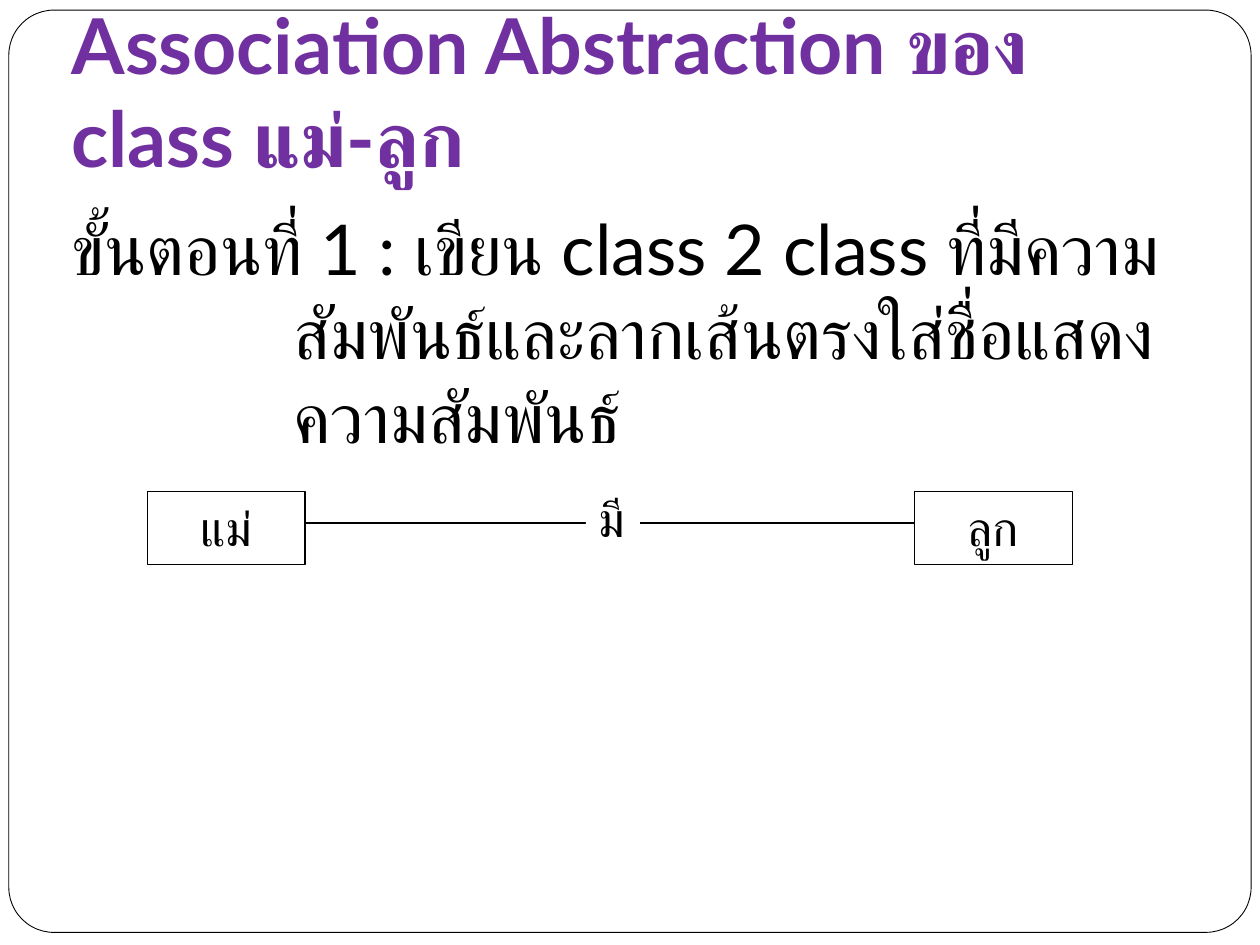
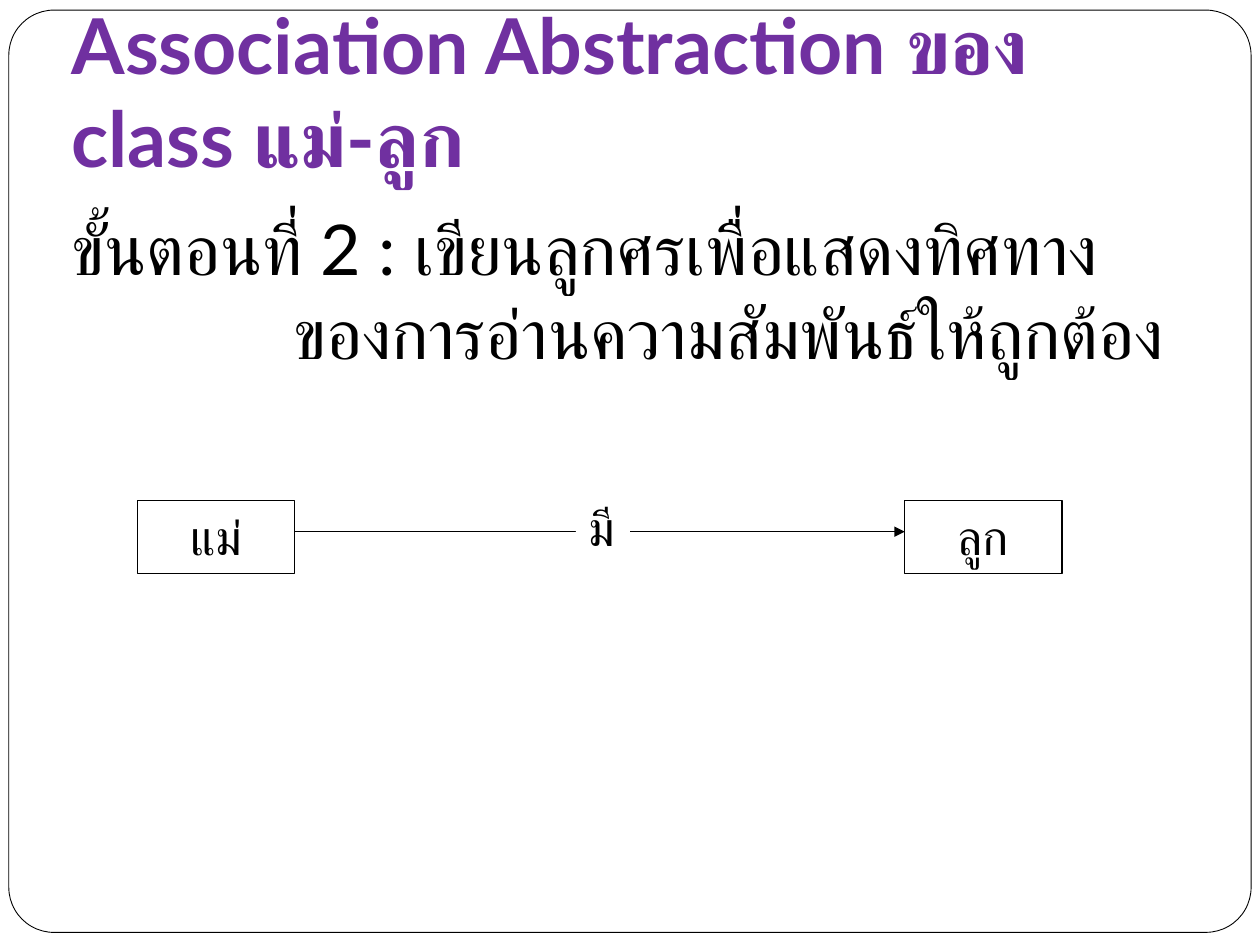
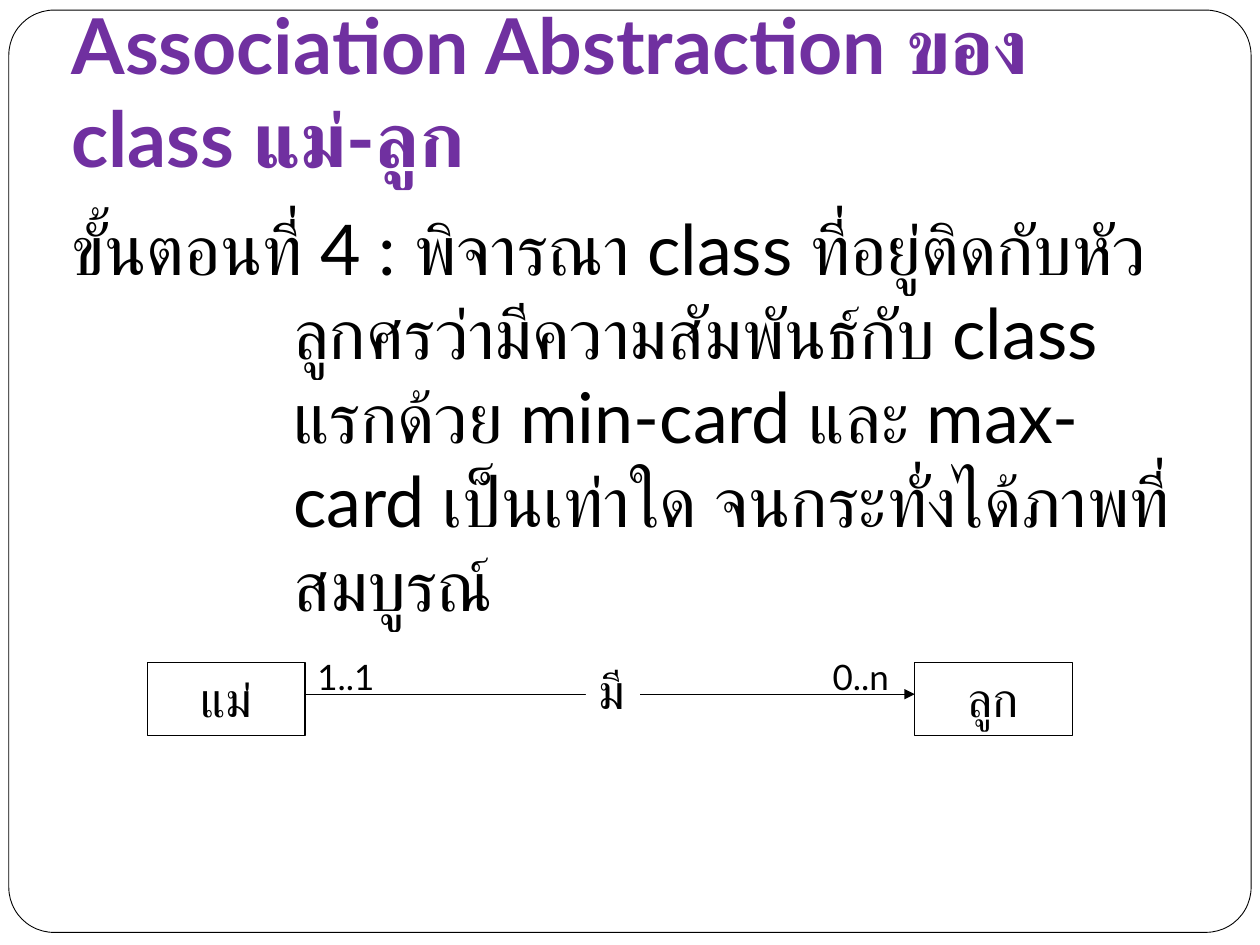
from pptx import Presentation
from pptx.dml.color import RGBColor
from pptx.enum.shapes import MSO_CONNECTOR as Connector, MSO_SHAPE as Shape
from pptx.enum.text import MSO_ANCHOR as Anchor, MSO_AUTO_SIZE as AutoSize, PP_ALIGN as Align
from pptx.oxml.ns import qn
from pptx.util import Inches, Pt
from lxml.etree import SubElement

BLACK = RGBColor(0x00, 0x00, 0x00)
WHITE = RGBColor(0xFF, 0xFF, 0xFF)
PURPLE = RGBColor(0x70, 0x30, 0xA0)
FONT = "Lato"
TITLE = "Association Abstraction ของ class แม่-ลูก"

STEPS = [
    dict(text="ขั้นตอนที่ 1 : เขียน class 2 class ที่มีความสัมพันธ์และลากเส้นตรงใส่ชื่อแสดงความสัมพันธ์",
         left=1.17, top=3.9, arrow=False, cards=()),
    dict(text="ขั้นตอนที่ 2 : เขียนลูกศรเพื่อแสดงทิศทางของการอ่านความสัมพันธ์ให้ถูกต้อง",
         left=1.09, top=3.97, arrow=True, cards=()),
    dict(text="ขั้นตอนที่ 4 : พิจารณา class ที่อยู่ติดกับหัวลูกศรว่ามีความสัมพันธ์กับ class แรกด้วย "
              "min-card และ max-card เป็นเท่าใด จนกระทั่งได้ภาพที่สมบูรณ์",
         left=1.17, top=5.26, arrow=True, cards=("1..1", "0..n")),
]


def write(shape, text, size, color=BLACK, bold=False, align=Align.LEFT,
          anchor=Anchor.TOP, wrap=True, grow=False, bottom=0.05):
    frame = shape.text_frame
    frame.word_wrap = wrap
    frame.vertical_anchor = anchor
    frame.margin_bottom = Inches(bottom)
    frame.auto_size = AutoSize.SHAPE_TO_FIT_TEXT if grow else AutoSize.NONE
    paragraph = frame.paragraphs[0]
    paragraph.alignment = align
    run = paragraph.add_run()
    run.text = text
    run.font.name = FONT
    run.font.size = Pt(size)
    run.font.bold = bold
    run.font.color.rgb = color
    return paragraph


def add_panel(shapes, kind, left, top, width, height, fill=None, line=None):
    panel = shapes.add_shape(kind, Inches(left), Inches(top), Inches(width), Inches(height))
    panel.shadow.inherit = False
    if fill is None:
        panel.fill.background()
    else:
        panel.fill.solid()
        panel.fill.fore_color.rgb = fill
    if line is None:
        panel.line.fill.background()
    else:
        panel.line.color.rgb = BLACK
        panel.line.width = Pt(line)
    return panel


def add_textbox(shapes, left, top, width, height):
    return shapes.add_textbox(Inches(left), Inches(top), Inches(width), Inches(height))


def add_frame(slide, left, top, width, height):
    frame = add_panel(slide.shapes, Shape.ROUNDED_RECTANGLE, left, top, width, height, WHITE, 0.5)
    frame.adjustments[0] = 0.049


def add_heading(slide, left, top, width, height):
    heading = add_textbox(slide.shapes, left, top, width, height)
    write(heading, TITLE, 44, color=PURPLE, bold=True, anchor=Anchor.BOTTOM, bottom=0.1)


def add_step_text(slide, text, left, top, width, height, hanging=1.76):
    step = add_textbox(slide.shapes, left, top, width, height)
    paragraph = write(step, text, 40)
    paragraph.space_before = Pt(5.8)
    properties = paragraph._p.get_or_add_pPr()
    properties.set("marL", str(Inches(hanging)))
    properties.set("indent", str(-Inches(hanging)))


def add_class(shapes, name, left, top, width, height):
    box = add_panel(shapes, Shape.RECTANGLE, left, top, width, height, line=0.75)
    paragraph = write(box, name, 28, align=Align.CENTER, grow=True)
    before = SubElement(paragraph._p.get_or_add_pPr(), qn("a:spcBef"))
    SubElement(before, qn("a:spcPct")).set("val", "50000")


def add_relation(shapes, start, end, y, arrow):
    relation = shapes.add_connector(Connector.STRAIGHT, Inches(start), Inches(y), Inches(end), Inches(y))
    relation.line.color.rgb = BLACK
    relation.line.width = Pt(0.75)
    if arrow:
        SubElement(relation.line._get_or_add_ln(), qn("a:tailEnd")).set("type", "triangle")
    SubElement(relation._element.spPr, qn("a:effectLst"))


def add_diagram(slide, left, top, arrow, cards, width=7.34, class_width=1.25, class_height=0.58):
    shapes = slide.shapes.add_group_shape().shapes
    start = left + class_width
    end = left + width - class_width
    add_class(shapes, "แม่", left, top, class_width, class_height)
    add_class(shapes, "ลูก", end, top, class_width, class_height)
    add_relation(shapes, start, end, top + 0.25, arrow)
    verb = add_panel(shapes, Shape.RECTANGLE, left + 3.48, top - 0.07, 0.43, 0.57, fill=WHITE)
    write(verb, "มี", 28, wrap=False, grow=True)
    for card, card_left in zip(cards, (start, end - 0.75)):
        cardinality = add_textbox(shapes, card_left, top - 0.11, 0.67, 0.43)
        write(cardinality, card, 20, wrap=False, grow=True)


def add_step_slide(deck, text, left, top, arrow, cards):
    slide = deck.slides.add_slide(deck.slide_layouts[6])
    add_frame(slide, 0.07, 0.08, 9.86, 7.32)
    add_heading(slide, 0.47, 0.3, 9.03, 1.25)
    add_step_text(slide, text, 0.47, 1.58, 9.03, 5)
    add_diagram(slide, left, top, arrow, cards)


deck = Presentation()
deck.slide_width = Inches(10)
deck.slide_height = Inches(7.5)
for step in STEPS:
    add_step_slide(deck, **step)
deck.save("out.pptx")
